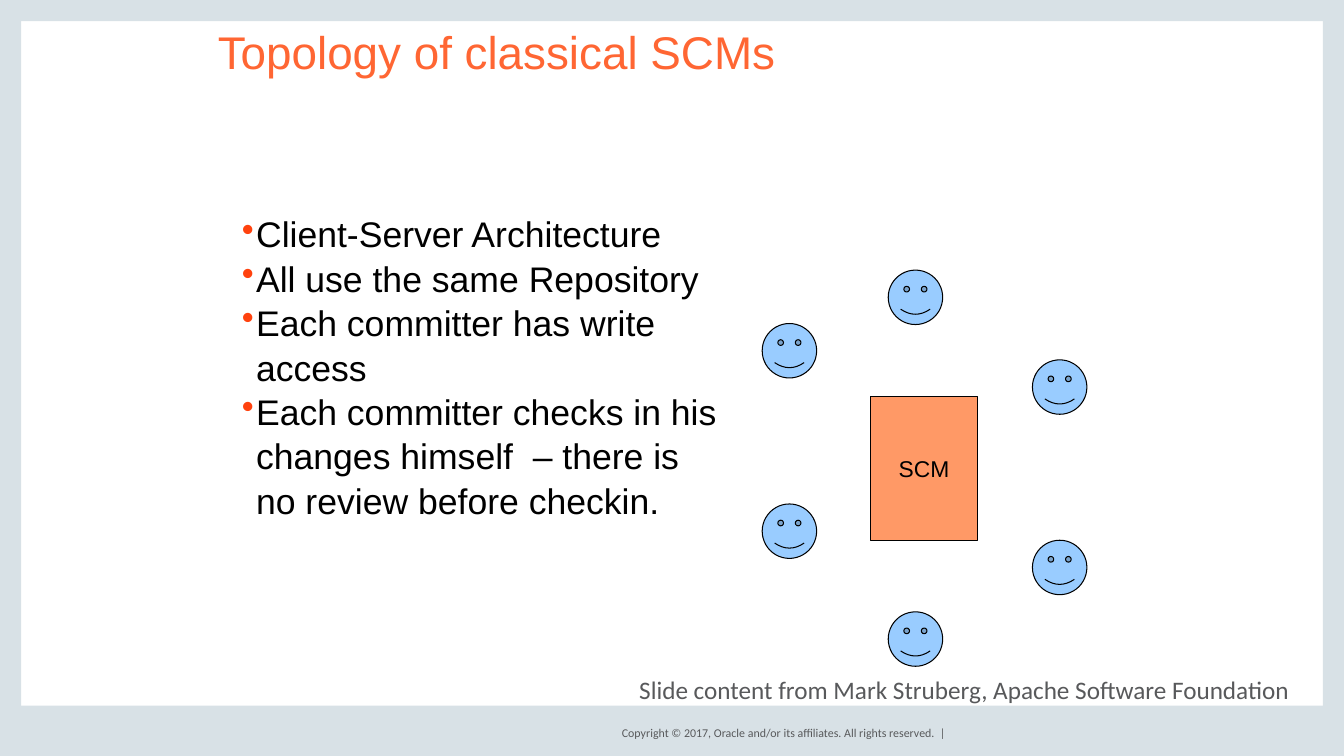
from dataclasses import dataclass

import pptx
import pptx.dml.color
import pptx.enum.shapes
import pptx.enum.text
import pptx.util
from lxml import etree
from pptx.util import Inches

Kind = pptx.enum.shapes.MSO_SHAPE
Align = pptx.enum.text.PP_ALIGN
Anchor = pptx.enum.text.MSO_ANCHOR


@dataclass(frozen=True)
class Theme:
    sans: str = "Arial"
    foot: str = "Calibri"
    frame: str = "D8E1E6"
    head: str = "FF6633"
    ink: str = "000000"
    gray: str = "58595B"
    mark: str = "FF420E"
    box: str = "FF9966"
    face: str = "99CCFF"
    title_size: float = 32.7
    body_size: float = 25.4
    box_size: float = 16.3
    note_size: float = 18
    legal_size: float = 8.5


THEME = Theme()
WIDTH, HEIGHT = 13.33, 7.5
EDGE = 0.21
FACE = 0.54
FACES = [
    (7.56, 5), (7.56, 3.21), (10.24, 3.57),
    (8.81, 2.68), (10.24, 5.36), (8.81, 6.07),
]
POINTS = [
    "Client-Server Architecture",
    "All use the same Repository",
    "Each committer has write access",
    "Each committer checks in his changes himself  – there is no review before checkin.",
]


def color(code):
    return pptx.dml.color.RGBColor.from_string(code)


def place(shape, left, top, width, height):
    shape.left, shape.top = Inches(left), Inches(top)
    shape.width, shape.height = Inches(width), Inches(height)


def style(frame, font, size, code, align=Align.LEFT):
    for para in frame.paragraphs:
        para.alignment = align
        for run in para.runs:
            run.font.name = font
            run.font.size = pptx.util.Pt(size)
            run.font.color.rgb = color(code)


def setup(frame, anchor, wrap=True):
    frame.margin_left = frame.margin_right = 0
    frame.margin_top = frame.margin_bottom = 0
    frame.vertical_anchor = anchor
    frame.word_wrap = wrap
    frame.auto_size = pptx.enum.text.MSO_AUTO_SIZE.NONE


def add_solid(slide, kind, area, fill, line=None):
    shape = slide.shapes.add_shape(kind, *map(Inches, area))
    shape.shadow.inherit = False
    shape.fill.solid()
    shape.fill.fore_color.rgb = color(fill)
    if line:
        shape.line.color.rgb = color(line)
        shape.line.width = pptx.util.Pt(0.75)
    else:
        shape.line.fill.background()
    return shape


def add_text(slide, area, text, anchor=Anchor.TOP, wrap=True):
    frame = slide.shapes.add_textbox(*map(Inches, area)).text_frame
    setup(frame, anchor, wrap)
    frame.text = text
    return frame


def add_mark(para):
    props = para._p.get_or_add_pPr()
    props.set("marL", str(Inches(0.14)))
    props.set("indent", str(-Inches(0.14)))
    tint = etree.SubElement(props, pptx.oxml.ns.qn("a:buClr"))
    etree.SubElement(tint, pptx.oxml.ns.qn("a:srgbClr"), val=THEME.mark)
    etree.SubElement(props, pptx.oxml.ns.qn("a:buChar"), char="•")


def add_frame(slide):
    bars = [
        (0, 0, EDGE, HEIGHT),
        (WIDTH - EDGE, 0, EDGE, HEIGHT),
        (0, 7, WIDTH, 0.5),
        (0, 0, WIDTH, EDGE),
    ]
    for bar in bars:
        add_solid(slide, Kind.RECTANGLE, bar, THEME.frame)
    legal = add_text(
        slide, (5.88, 7.17, 3.5, 0.2),
        "Copyright © 2017, Oracle and/or its affiliates. All rights reserved.  |",
        Anchor.MIDDLE, False)
    style(legal, THEME.foot, THEME.legal_size, THEME.gray, Align.RIGHT)


def add_title(slide, text):
    title = slide.shapes.title
    place(title, 2.16, 0.25, 9, 0.51)
    setup(title.text_frame, Anchor.MIDDLE)
    title.text_frame.text = text
    style(title.text_frame, THEME.sans, THEME.title_size, THEME.head)


def add_list(slide):
    frame = add_text(slide, (2.4, 2.09, 4.8, 4.73), "\n".join(POINTS))
    for para in frame.paragraphs:
        add_mark(para)
        para.line_spacing = 1.04
    style(frame, THEME.sans, THEME.body_size, THEME.ink)


def add_graph(slide):
    box = add_solid(slide, Kind.RECTANGLE, (8.63, 3.93, 1.07, 1.43),
                    THEME.box, THEME.ink)
    setup(box.text_frame, Anchor.MIDDLE)
    box.text_frame.text = "SCM"
    style(box.text_frame, THEME.sans, THEME.box_size, THEME.ink, Align.CENTER)
    for left, top in FACES:
        add_solid(slide, Kind.SMILEY_FACE, (left, top, FACE, FACE),
                  THEME.face, THEME.ink)


def add_note(slide):
    note = add_text(slide, (6.34, 6.72, 7.87, 0.93),
                    "Slide content from Mark Struberg, Apache Software Foundation")
    note.paragraphs[0].line_spacing = 0.9
    style(note, THEME.foot, THEME.note_size, THEME.gray)


def main():
    deck = pptx.Presentation()
    deck.slide_width, deck.slide_height = Inches(WIDTH), Inches(HEIGHT)
    slide = deck.slides.add_slide(deck.slide_layouts.get_by_name("Title Only"))
    add_frame(slide)
    add_title(slide, "Topology of classical SCMs")
    add_list(slide)
    add_graph(slide)
    add_note(slide)
    deck.save("out.pptx")


if __name__ == "__main__":
    main()
